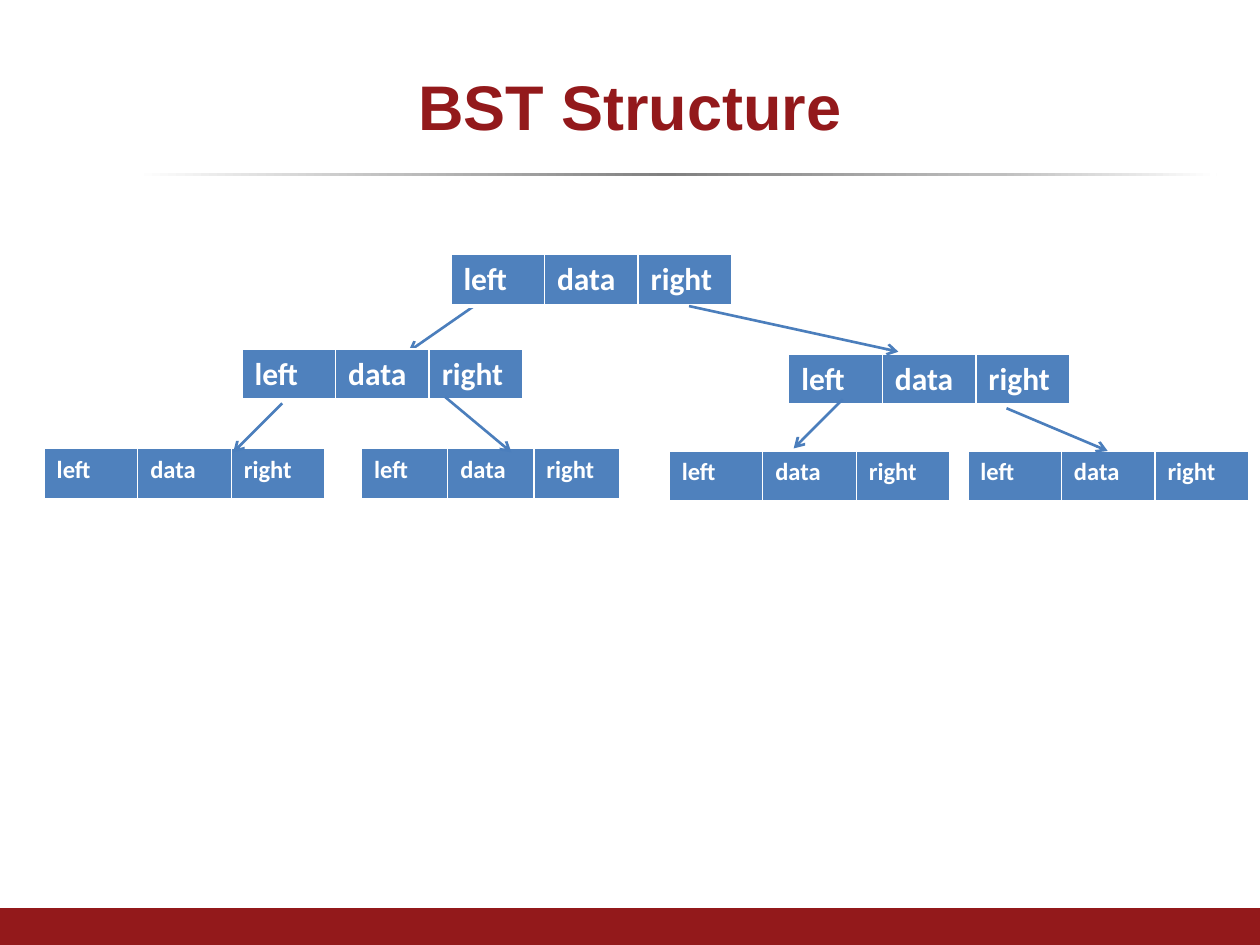
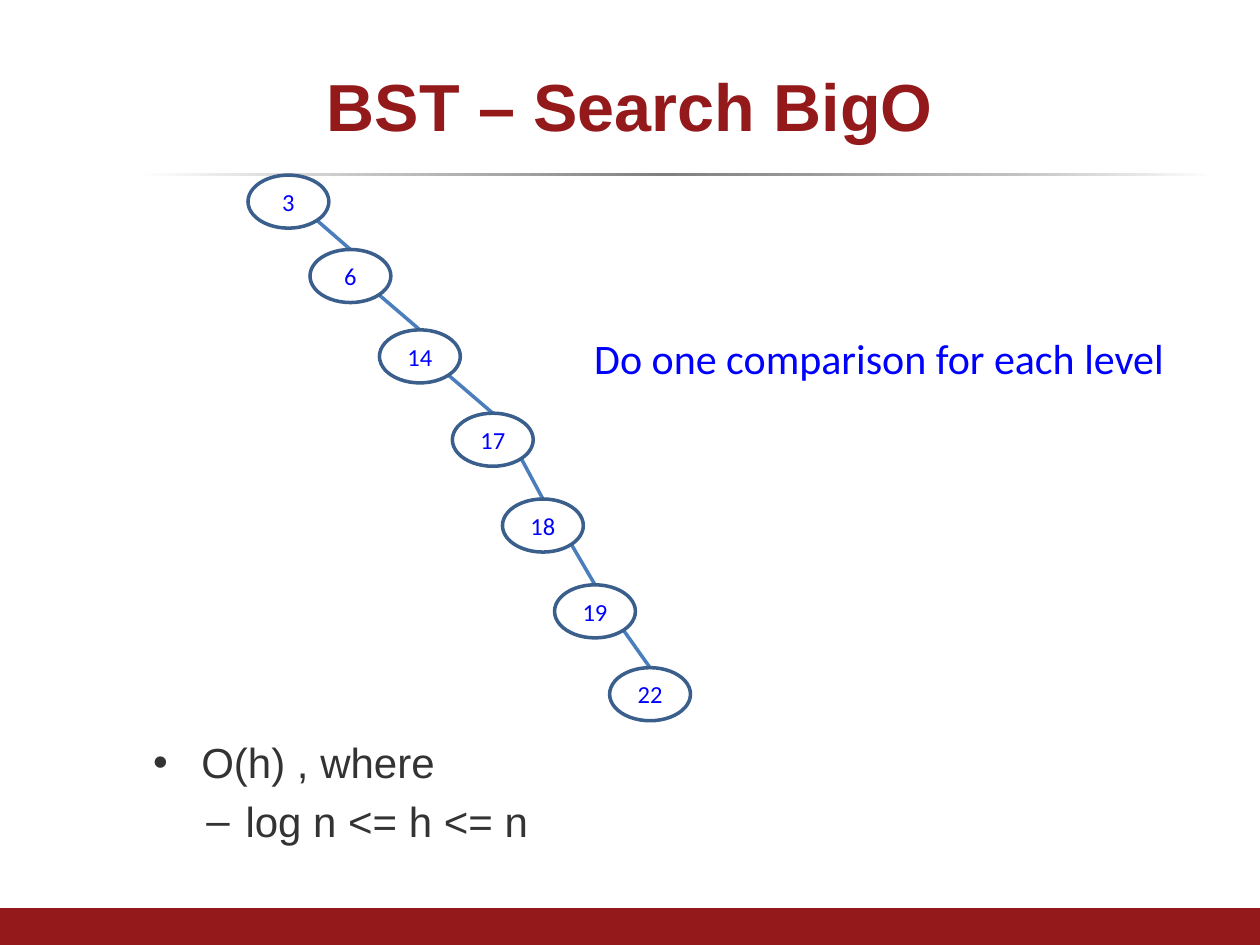
from dataclasses import dataclass
from itertools import pairwise

from lxml.etree import SubElement
from pptx import Presentation
from pptx.dml.color import RGBColor
from pptx.enum.shapes import MSO_CONNECTOR, MSO_SHAPE
from pptx.enum.text import MSO_ANCHOR, PP_ALIGN
from pptx.oxml import parse_xml
from pptx.oxml.ns import nsdecls, qn
from pptx.util import Cm, Pt


@dataclass(frozen=True)
class Theme:
    red: str = "93191B"
    node_blue: str = "4F81BD"
    line_blue: str = "4B7EBC"
    outline_blue: str = "3A5F8C"
    text_blue: str = "0000FF"
    grey: str = "333333"
    white: str = "FFFFFF"
    rule_stops: tuple = ((0, "FFFFFF"), (24, "BFBFBF"), (49, "808080"),
                         (80, "BFBFBF"), (100, "FFFFFF"))
    heading_font: str = "Arial"
    text_font: str = "Calibri"
    large: int = 24
    medium: int = 18
    small: int = 14


theme = Theme()


def write(para, text, color, **formats):
    span = para.add_run()
    span.text = text
    for name, value in formats.items():
        setattr(span.font, name, value)
    span.font.color.rgb = RGBColor.from_string(color)


def draw_line(page, points, width, arrow=False):
    line = page.shapes.add_connector(MSO_CONNECTOR.STRAIGHT, *map(Cm, points))
    line.line.color.rgb = RGBColor.from_string(theme.line_blue)
    line.line.width = Pt(width)
    properties = line.element.spPr
    if arrow:
        SubElement(properties.find(qn("a:ln")), qn("a:tailEnd"), type="arrow")
    SubElement(properties, qn("a:effectLst"))


deck = Presentation()
deck.slide_width, deck.slide_height = Cm(25.4), Cm(19.05)
layout = deck.slide_layouts[5]

pages = []
for heading, size in (("BST Structure", 36), ("BST – Search BigO", 38)):
    page = deck.slides.add_slide(layout)
    title = page.shapes.title
    placement = {"left": 1.27, "top": 0.76, "width": 22.86, "height": 2.72}
    for name, value in placement.items():
        setattr(title, name, Cm(value))
    title.text_frame.vertical_anchor = MSO_ANCHOR.MIDDLE
    para = title.text_frame.paragraphs[0]
    para.alignment = PP_ALIGN.CENTER
    write(para, heading, theme.red, name=theme.heading_font, size=Pt(size), bold=True)
    pages.append(page)
structure, search = pages

rule = structure.shapes.add_shape(
    MSO_SHAPE.RECTANGLE, Cm(2.74), Cm(3.48), Cm(21.79), Cm(0.08))
rule.fill.gradient()
rule.fill.gradient_angle = 0
stops = rule.element.spPr.find(qn("a:gradFill")).find(qn("a:gsLst"))
stops.clear()
for position, color in theme.rule_stops:
    stop = SubElement(stops, qn("a:gs"), pos=str(position * 1000))
    SubElement(stop, qn("a:srgbClr"), val=color)

band = structure.shapes.add_shape(
    MSO_SHAPE.RECTANGLE, 0, Cm(18.31), deck.slide_width, Cm(0.74))
band.fill.solid()
band.fill.fore_color.rgb = RGBColor.from_string(theme.red)
for shape in (rule, band):
    shape.line.fill.background()
    shape.shadow.inherit = False
    layout.shapes.element.append(shape.element)

draw_line(structure, (9.7, 6.07, 8.23, 7.09), 1.5, arrow=True)

tree_nodes = (
    (9.09, 5.13, 5.66, theme.medium),
    (4.88, 7.04, 5.66, theme.medium),
    (15.9, 7.14, 5.66, theme.medium),
    (0.89, 9.04, 5.66, theme.small),
    (7.29, 9.04, 5.21, theme.small),
    (13.49, 9.09, 5.66, theme.small),
    (19.51, 9.09, 5.66, theme.small),
)
fields = ("left", "data", "right")
borders = {"lnL": 1, "lnR": 1, "lnT": 1, "lnB": 3}
for left, top, width, size in tree_nodes:
    table = structure.shapes.add_table(
        1, len(fields), Cm(left), Cm(top), Cm(width), Cm(1.04)).table
    table.first_row = table.horz_banding = False
    for cell, field in zip(table.rows[0].cells, fields):
        write(cell.text_frame.paragraphs[0], field, theme.white,
              name=theme.text_font, size=Pt(size), bold=True)
        cell.fill.solid()
        cell.fill.fore_color.rgb = RGBColor.from_string(theme.node_blue)
        properties = cell._tc.get_or_add_tcPr()
        for place, (side, weight) in enumerate(borders.items()):
            properties.insert(place, parse_xml(
                f'<a:{side} {nsdecls("a")} w="{Pt(weight)}"><a:solidFill>'
                f'<a:srgbClr val="{theme.white}"/></a:solidFill></a:{side}>'))

child_arrows = (
    (5.69, 8.13, 4.7, 9.12),
    (13.89, 6.17, 18.11, 7.09),
    (16.99, 8.05, 16, 9.04),
    (20.29, 8.23, 22.33, 9.09),
    (8.97, 8, 10.31, 9.12),
)
for points in child_arrows:
    draw_line(structure, points, 1.5, arrow=True)

bullet_box = search.shapes.add_textbox(Cm(2.08), Cm(14.73), Cm(20.45), Cm(3.07))
bullet_box.text_frame.word_wrap = True
bullets = (
    ("O(h) , where", "•", 0, 1.73, -0.97),
    ("log n <= h <= n", "–", 1, 2.62, -0.79),
)
for text, mark, level, margin, indent in bullets:
    frame = bullet_box.text_frame
    para = frame.add_paragraph() if level else frame.paragraphs[0]
    para.level = level
    para.space_before = Pt(5)
    write(para, text, theme.grey, name=theme.heading_font, size=Pt(theme.large))
    properties = para._p.get_or_add_pPr()
    properties.set("marL", str(Cm(margin)))
    properties.set("indent", str(Cm(indent)))
    SubElement(properties, qn("a:buFont"), typeface=theme.heading_font)
    SubElement(properties, qn("a:buChar"), char=mark)

chain = (
    ("3", 5, 3.53),
    ("6", 6.25, 5.03),
    ("14", 7.65, 6.65),
    ("17", 9.12, 8.33),
    ("18", 10.13, 10.06),
    ("19", 11.18, 11.79),
    ("22", 12.29, 13.46),
)
node_width, node_height = 1.63, 1.07
for (_, left, top), (_, next_left, next_top) in pairwise(chain):
    draw_line(search, (left + 0.85 * node_width, top + 0.85 * node_height,
                       next_left + node_width / 2, next_top), 2)
for key, left, top in chain:
    node = search.shapes.add_shape(
        MSO_SHAPE.OVAL, Cm(left), Cm(top), Cm(node_width), Cm(node_height))
    node.shadow.inherit = False
    node.fill.background()
    node.line.color.rgb = RGBColor.from_string(theme.outline_blue)
    node.line.width = Pt(2)
    frame = node.text_frame
    frame.vertical_anchor = MSO_ANCHOR.MIDDLE
    frame.paragraphs[0].alignment = PP_ALIGN.CENTER
    write(frame.paragraphs[0], key, theme.text_blue,
          name=theme.text_font, size=Pt(theme.small))

remark = search.shapes.add_textbox(Cm(11.73), Cm(6.58), Cm(12.95), Cm(1.27))
remark.text_frame.word_wrap = True
write(remark.text_frame.paragraphs[0], "Do one comparison for each level",
      theme.text_blue, name=theme.text_font, size=Pt(theme.large))

deck.save("out.pptx")
